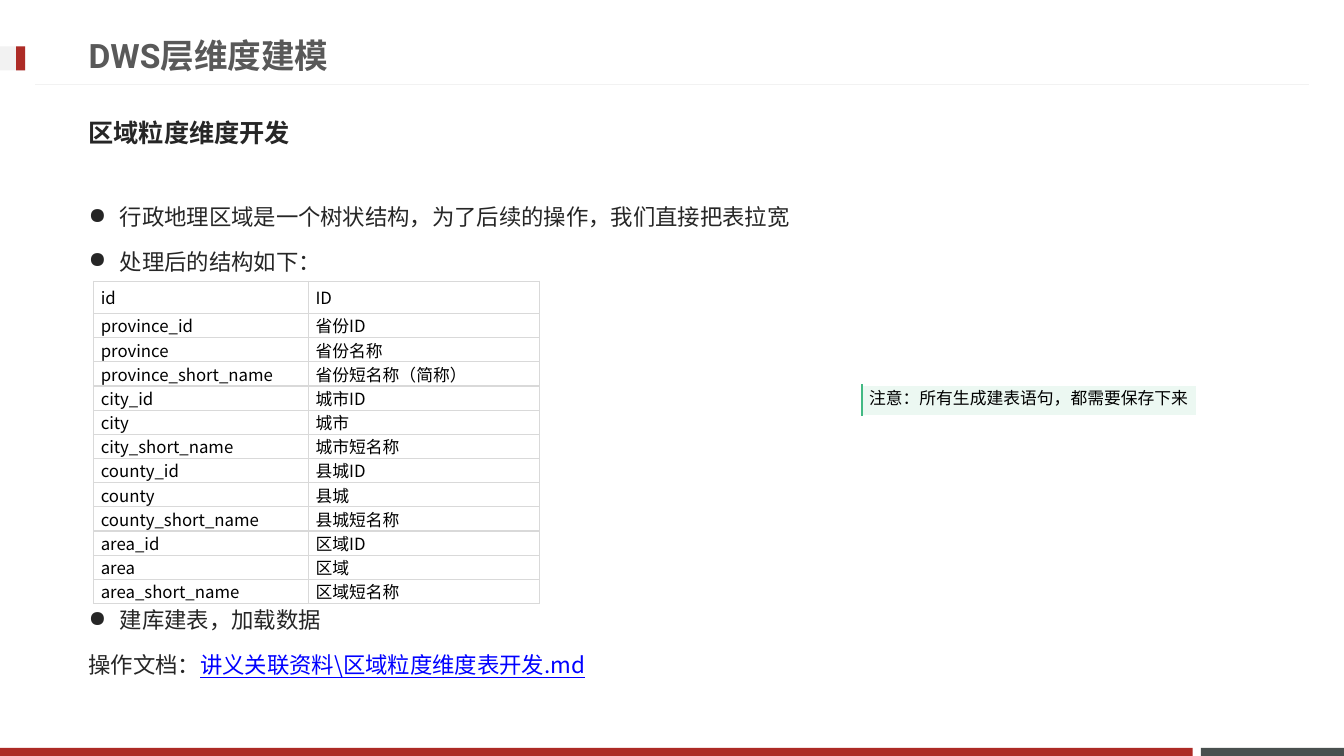
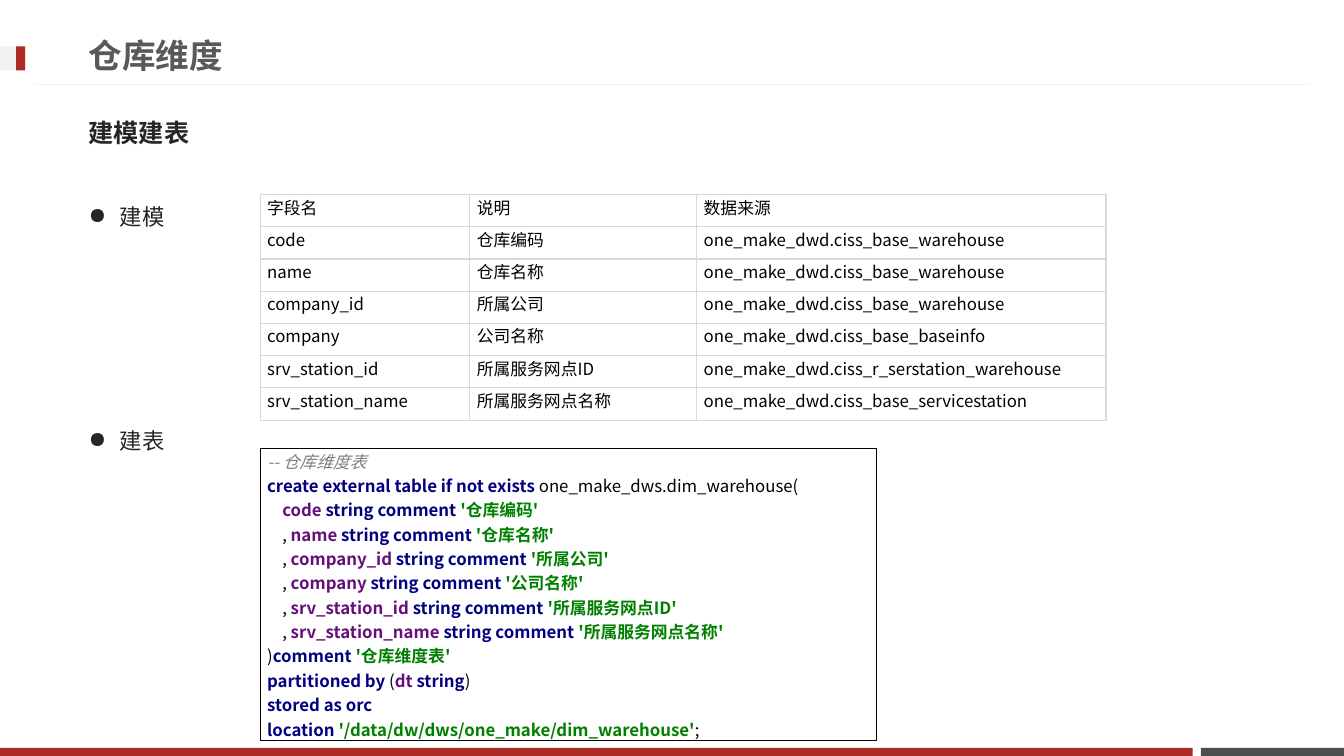
from lxml import etree
from pptx import Presentation
from pptx.dml.color import RGBColor
from pptx.enum.shapes import MSO_CONNECTOR, MSO_SHAPE
from pptx.enum.text import MSO_ANCHOR
from pptx.oxml.ns import qn
from pptx.util import Inches, Pt

RECTANGLE = MSO_SHAPE.RECTANGLE
STRAIGHT = MSO_CONNECTOR.STRAIGHT
TOP, MIDDLE = MSO_ANCHOR.TOP, MSO_ANCHOR.MIDDLE

COLORS = {
    "red": "AD2B26", "slate": "49504F", "pale": "F2F2F2",
    "title": "595959", "body": "262626", "link": "0000FF",
    "black": "000000", "grid": "D9D9D9", "frame": "080000",
    "note_bar": "42B983", "note_fill": "ECF8F2",
    "comment": "808080", "keyword": "000080", "field": "660E7A", "string": "008000",
}
TITLE_FONT, BODY_FONT, TABLE_FONT = "Roboto", "Noto Sans CJK JP", "Noto Sans CJK SC"
BODY_LINE = 32  # points
CODE_INDENT = 0.15
EDGES = ("lnL", "lnR", "lnT", "lnB")

CODE_STYLES = {
    "plain": dict(color="black"),
    "comment": dict(color="comment", italic=True),
    "keyword": dict(color="keyword", bold=True),
    "field": dict(color="field", bold=True),
    "string": dict(color="string", bold=True),
}

REGION_ROWS = [
    ("id", "ID"),
    ("province_id", "省份ID"),
    ("province", "省份名称"),
    ("province_short_name", "省份短名称（简称）"),
    ("city_id", "城市ID"),
    ("city", "城市"),
    ("city_short_name", "城市短名称"),
    ("county_id", "县城ID"),
    ("county", "县城"),
    ("county_short_name", "县城短名称"),
    ("area_id", "区域ID"),
    ("area", "区域"),
    ("area_short_name", "区域短名称"),
]
WAREHOUSE_HEADER = ("字段名", "说明", "数据来源")
WAREHOUSE_FIELDS = [
    ("code", "仓库编码", "one_make_dwd.ciss_base_warehouse"),
    ("name", "仓库名称", "one_make_dwd.ciss_base_warehouse"),
    ("company_id", "所属公司", "one_make_dwd.ciss_base_warehouse"),
    ("company", "公司名称", "one_make_dwd.ciss_base_baseinfo"),
    ("srv_station_id", "所属服务网点ID", "one_make_dwd.ciss_r_serstation_warehouse"),
    ("srv_station_name", "所属服务网点名称", "one_make_dwd.ciss_base_servicestation"),
]


def rgb(name):
    return RGBColor.from_string(COLORS[name])


def add_text(paragraph, text, size=12, font=TABLE_FONT, east_asian=None, color="black",
             bold=False, italic=False, underline=False):
    run = paragraph.add_run()
    run.text = text
    style = run.font
    style.size, style.name = Pt(size), font
    style.bold, style.italic, style.underline = bold, italic, underline
    style.color.rgb = rgb(color)
    etree.SubElement(run._r.get_or_add_rPr(), qn("a:ea"), typeface=east_asian or font)


def add_text_box(slide, left, top, width, height, anchor=TOP):
    frame = slide.shapes.add_textbox(*map(Inches, (left, top, width, height))).text_frame
    frame.word_wrap = True
    frame.vertical_anchor = anchor
    return frame


def add_block(slide, left, top, width, height, color):
    block = slide.shapes.add_shape(RECTANGLE, *map(Inches, (left, top, width, height)))
    block.shadow.inherit = False
    block.fill.solid()
    block.fill.fore_color.rgb = rgb(color)
    block.line.fill.background()


def add_slide(deck, title, subtitle):
    """Add a slide with the shared bands, title rule and headings."""
    slide = deck.slides.add_slide(deck.slide_layouts[6])
    add_block(slide, 11.91, 7.42, 1.42, 0.08, "slate")
    add_block(slide, 0, 7.42, 11.83, 0.08, "red")
    rule = slide.shapes.add_connector(STRAIGHT, *map(Inches, (12.98, 0.84, 0.35, 0.84)))
    rule.line.color.rgb = rgb("pale")
    rule.line.width = Pt(0.75)
    etree.SubElement(rule._element.spPr, qn("a:effectLst"))
    add_block(slide, 0, 0.46, 0.25, 0.24, "pale")
    add_block(slide, 0.16, 0.46, 0.09, 0.24, "red")

    heading = add_text_box(slide, 0.78, 0.26, 9.59, 0.57, MIDDLE)
    add_text(heading.paragraphs[0], title, size=24, font=TITLE_FONT,
             east_asian=TABLE_FONT, color="title", bold=True)
    subheading = add_text_box(slide, 0.78, 1.03, 11.7, 0.57, MIDDLE)
    add_text(subheading.paragraphs[0], subtitle, size=18, font=BODY_FONT,
             color="body", bold=True)
    return slide


def add_body_line(frame, text, lines_before=0, bullet=True):
    """Append a body paragraph, leaving room for whole lines above it."""
    first = frame.paragraphs[0]
    paragraph = frame.add_paragraph() if first.runs else first
    paragraph.line_spacing = Pt(BODY_LINE)
    paragraph.space_before = Pt(lines_before * BODY_LINE)
    if bullet:
        properties = paragraph._p.get_or_add_pPr()
        properties.set("marL", str(Inches(0.31)))
        properties.set("indent", str(-Inches(0.31)))
        etree.SubElement(properties, qn("a:buChar"), char="●")
    add_text(paragraph, text, size=16, font=BODY_FONT, color="body")
    return paragraph


def format_cell(cell, border, width=1, edges=EDGES, fill=None, anchor=TOP):
    cell.margin_left = cell.margin_right = Inches(0.07)
    cell.margin_top = cell.margin_bottom = 0
    cell.vertical_anchor = anchor
    if fill:
        cell.fill.solid()
        cell.fill.fore_color.rgb = rgb(fill)
    else:
        cell.fill.background()
    properties = cell._tc.get_or_add_tcPr()
    for position, edge in enumerate(edges):
        line = etree.Element(qn(f"a:{edge}"), w=str(Pt(width)))
        solid = etree.SubElement(line, qn("a:solidFill"))
        etree.SubElement(solid, qn("a:srgbClr"), val=COLORS[border])
        properties.insert(position, line)


def add_grid(slide, left, top, widths, heights, **cell_format):
    """Add an empty table with the given column widths and row heights."""
    box = map(Inches, (left, top, sum(widths), sum(heights)))
    table = slide.shapes.add_table(len(heights), len(widths), *box).table
    table.first_row = table.horz_banding = False
    for column, width in zip(table.columns, widths):
        column.width = Inches(width)
    for row, height in zip(table.rows, heights):
        row.height = Inches(height)
    for cell in table.iter_cells():
        format_cell(cell, **cell_format)
    return table


def fill_grid(table, rows):
    for row, values in zip(table.rows, rows):
        for cell, value in zip(row.cells, values):
            add_text(cell.text_frame.paragraphs[0], value)


def warehouse_code():
    """Return the statement as lines of (style, text) pairs."""
    columns = [
        [("plain", ", ")] * (index > 0)
        + [("field", f"{name} "), ("keyword", "string comment "), ("string", f"'{label}'")]
        for index, (name, label, _) in enumerate(WAREHOUSE_FIELDS)
    ]
    opening = [
        [("comment", "-- 仓库维度表")],
        [("keyword", "create external table if not exists "),
         ("plain", "one_make_dws.dim_warehouse(")],
    ]
    closing = [
        [("plain", ")"), ("keyword", "comment "), ("string", "'仓库维度表'")],
        [("keyword", "partitioned by "), ("plain", "("), ("field", "dt "),
         ("keyword", "string"), ("plain", ")")],
        [("keyword", "stored as orc")],
        [("keyword", "location "), ("string", "'/data/dw/dws/one_make/dim_warehouse'"),
         ("plain", ";")],
    ]
    indented = [(CODE_INDENT, line) for line in columns]
    return [(0, line) for line in opening] + indented + [(0, line) for line in closing]


def add_code(slide, left, top, width, height):
    frame = add_grid(slide, left, top, [width], [height], border="frame").cell(0, 0).text_frame
    for number, (indent, tokens) in enumerate(warehouse_code()):
        paragraph = frame.add_paragraph() if number else frame.paragraphs[0]
        if indent:
            paragraph._p.get_or_add_pPr().set("marL", str(Inches(indent)))
        for style, text in tokens:
            add_text(paragraph, text, **CODE_STYLES[style])


def build_region_slide(deck):
    slide = add_slide(deck, "DWS层维度建模", "区域粒度维度开发")
    body = add_text_box(slide, 0.78, 1.79, 11.7, 5.11)
    add_body_line(body, "行政地理区域是一个树状结构，为了后续的操作，我们直接把表拉宽")
    add_body_line(body, "处理后的结构如下：")
    add_body_line(body, "建库建表，加载数据", lines_before=7)
    document = add_body_line(body, "操作文档：", bullet=False)
    add_text(document, "讲义关联资料\\区域粒度维度表开发.md", size=16, font=BODY_FONT,
             color="link", underline=True)

    heights = [0.32] + [0.24] * (len(REGION_ROWS) - 1)
    regions = add_grid(slide, 0.93, 2.79, [2.13, 2.29], heights, border="grid", anchor=MIDDLE)
    fill_grid(regions, REGION_ROWS)
    note = add_grid(slide, 8.55, 3.82, [3.32], [0.3], border="note_bar", width=2.25,
                    edges=("lnL",), fill="note_fill")
    fill_grid(note, [["注意：所有生成建表语句，都需要保存下来"]])


def build_warehouse_slide(deck):
    slide = add_slide(deck, "仓库维度", "建模建表")
    body = add_text_box(slide, 0.78, 1.79, 11.7, 5.28)
    add_body_line(body, "建模")
    add_body_line(body, "建表", lines_before=4)
    rows = [WAREHOUSE_HEADER] + WAREHOUSE_FIELDS
    model = add_grid(slide, 2.58, 1.93, [2.08, 2.25, 4.06], [0.32] * len(rows), border="grid")
    fill_grid(model, rows)
    add_code(slide, 2.58, 4.45, 6.11, 2.9)


def main():
    deck = Presentation()
    deck.slide_width, deck.slide_height = Inches(13.33), Inches(7.5)
    build_region_slide(deck)
    build_warehouse_slide(deck)
    deck.save("out.pptx")


if __name__ == "__main__":
    main()
